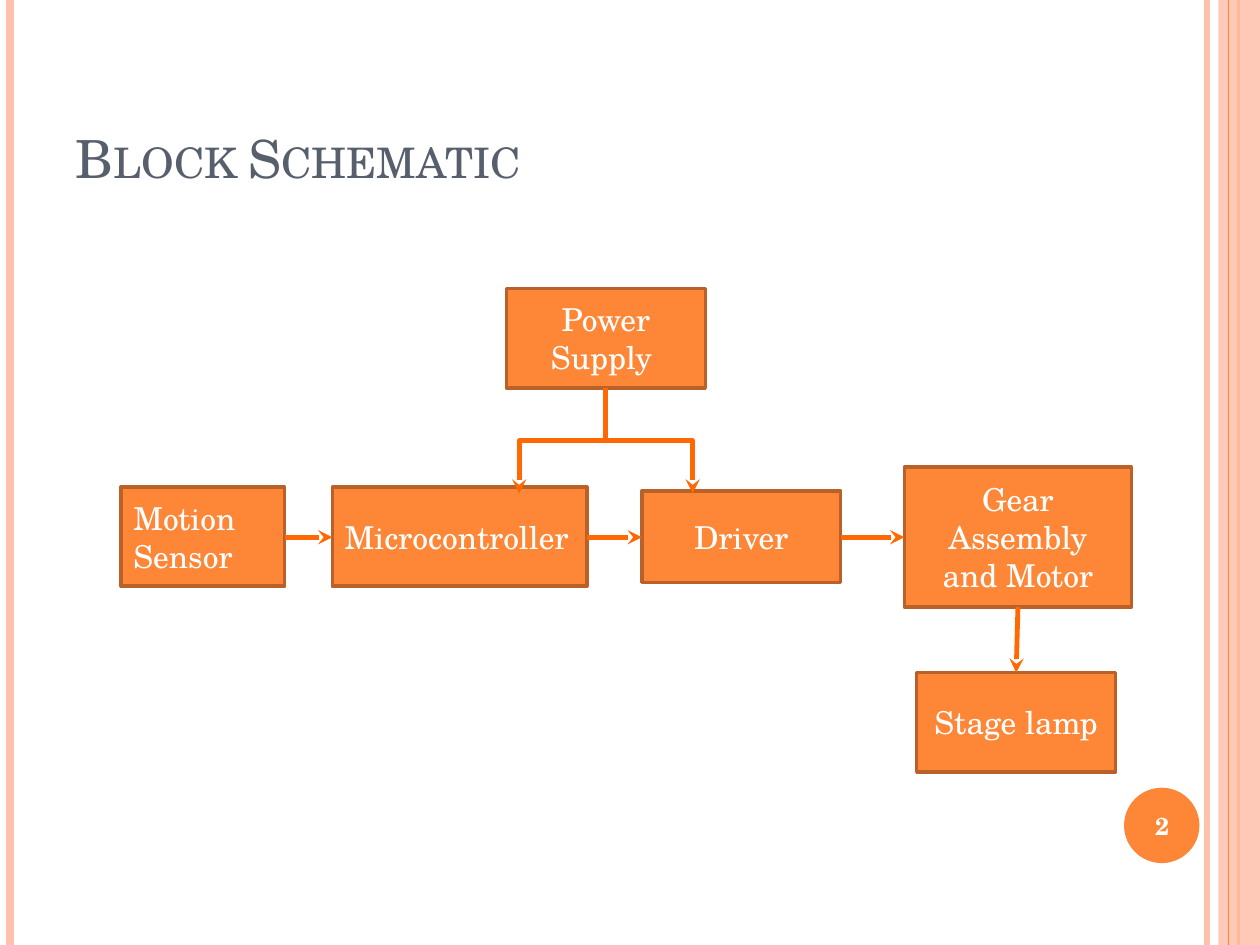
"""Build the block schematic slide of a motion-driven stage lamp."""
from itertools import pairwise

from lxml.etree import SubElement
from pptx import Presentation
from pptx.dml.color import RGBColor
from pptx.enum.shapes import MSO_CONNECTOR as LINK, MSO_SHAPE as SHAPE
from pptx.enum.text import MSO_ANCHOR as ANCHOR, PP_ALIGN as ALIGN
from pptx.oxml.ns import qn
from pptx.util import Cm, Pt

FONT = "TeX Gyre Schola"
ORANGE = RGBColor(0xFE, 0x86, 0x37)
DEEP_ORANGE = RGBColor(0xFF, 0x68, 0x03)
BROWN = RGBColor(0xB9, 0x61, 0x28)
PEACH = RGBColor(0xFE, 0xC2, 0xAC)
SLATE = RGBColor(0x57, 0x5F, 0x6D)
WHITE = RGBColor(0xFF, 0xFF, 0xFF)

deck = Presentation()
deck.slide_width, deck.slide_height = Cm(25.4), Cm(19.05)
slide = deck.slides.add_slide(deck.slide_layouts[6])
shapes = slide.shapes


def write(holder, lines, size, color, align=ALIGN.CENTER, anchor=ANCHOR.MIDDLE):
    frame = holder.text_frame
    frame.word_wrap = True
    frame.vertical_anchor = anchor
    for index, line in enumerate(lines):
        paragraph = frame.add_paragraph() if index else frame.paragraphs[0]
        paragraph.alignment = align
        run = paragraph.add_run()
        run.text = line
        run.font.name, run.font.size = FONT, Pt(size)
        run.font.color.rgb = color
    return run


def connect(kind, start, end, color, width, arrow=False):
    link = shapes.add_connector(kind, *start, *end)
    link.line.color.rgb = color
    link.line.width = Pt(width)
    properties = link._element.spPr
    if arrow:
        SubElement(properties.find(qn("a:ln")), qn("a:tailEnd"), type="stealth")
    SubElement(properties, qn("a:effectLst"))
    return link


for x, color, width in ((24.33, PEACH, 3), (0.2, PEACH, 4.5), (24.97, ORANGE, 1.5)):
    connect(LINK.STRAIGHT, (Cm(x), 0), (Cm(x), deck.slide_height), color, width)

side_band = shapes.add_shape(SHAPE.RECTANGLE, Cm(24.56), 0, Cm(0.84), deck.slide_height)
side_band.shadow.inherit = False
side_band.fill.solid()
side_band.fill.fore_color.rgb = PEACH
side_band.line.fill.background()
band_color = side_band._element.spPr.find(qn("a:solidFill"))[0]
SubElement(band_color, qn("a:alpha"), val="86000")

connect(LINK.STRAIGHT, (Cm(24.77), 0), (Cm(24.77), deck.slide_height), ORANGE, 0.75)

page_disc = shapes.add_shape(SHAPE.OVAL, Cm(22.66), Cm(15.88), Cm(1.52), Cm(1.52))
page_disc.shadow.inherit = False
page_disc.fill.solid()
page_disc.fill.fore_color.rgb = ORANGE
page_disc.line.fill.background()

title = shapes.add_textbox(Cm(1.27), Cm(0.76), Cm(20.75), Cm(3.18))
title_run = write(title, ["Block Schematic"], 30, SLATE, ALIGN.LEFT, ANCHOR.BOTTOM)
title_run.font._element.set("cap", "small")

page_number = shapes.add_textbox(Cm(22.58), Cm(15.93), Cm(1.7), Cm(1.45))
write(page_number, ["2"], 14, WHITE).font.bold = True

BLOCKS = (
    (["Motion Sensor"], 2.44, 9.82, 3.3, 2, ALIGN.LEFT),
    (["Microcontroller"], 6.7, 9.82, 5.13, 2, ALIGN.LEFT),
    (["Driver"], 12.94, 9.9, 4.01, 1.84, ALIGN.CENTER),
    (["Gear Assembly", "and Motor"], 18.23, 9.42, 4.58, 2.82, ALIGN.CENTER),
    (["Stage lamp"], 18.48, 13.56, 4.01, 2, ALIGN.CENTER),
    (["Power Supply "], 10.21, 5.82, 4.01, 2, ALIGN.CENTER),
)
blocks = []
for lines, left, top, width, height, align in BLOCKS:
    block = shapes.add_shape(SHAPE.RECTANGLE, Cm(left), Cm(top), Cm(width), Cm(height))
    block.shadow.inherit = False
    block.fill.solid()
    block.fill.fore_color.rgb = ORANGE
    block.line.color.rgb = BROWN
    block.line.width = Pt(2)
    write(block, lines, 18, WHITE, align)
    blocks.append(block)
*chain, lamp, supply = blocks
gear = chain[-1]

flow_y = Cm(10.83)
for source, target in pairwise(chain):
    connect(LINK.STRAIGHT, (source.left + source.width, flow_y), (target.left, flow_y),
            DEEP_ORANGE, 2.75, True)
connect(LINK.STRAIGHT, (gear.left + gear.width // 2, gear.top + gear.height),
        (lamp.left + lamp.width // 2, lamp.top), DEEP_ORANGE, 2.75, True)

drop, spread = Cm(2.13), Cm(1.75)
supply_x = supply.left + supply.width // 2
middle_y = supply.top + supply.height + drop // 2
for side, turn in ((1, 270), (-1, 90)):
    middle_x = supply_x + side * spread // 2
    branch = connect(LINK.ELBOW,
                     (middle_x + side * drop // 2, middle_y - spread // 2),
                     (middle_x - side * drop // 2, middle_y + spread // 2),
                     DEEP_ORANGE, 2.75, True)
    branch._element.spPr.find(qn("a:xfrm")).set("rot", str(turn * 60000))

deck.save("out.pptx")
